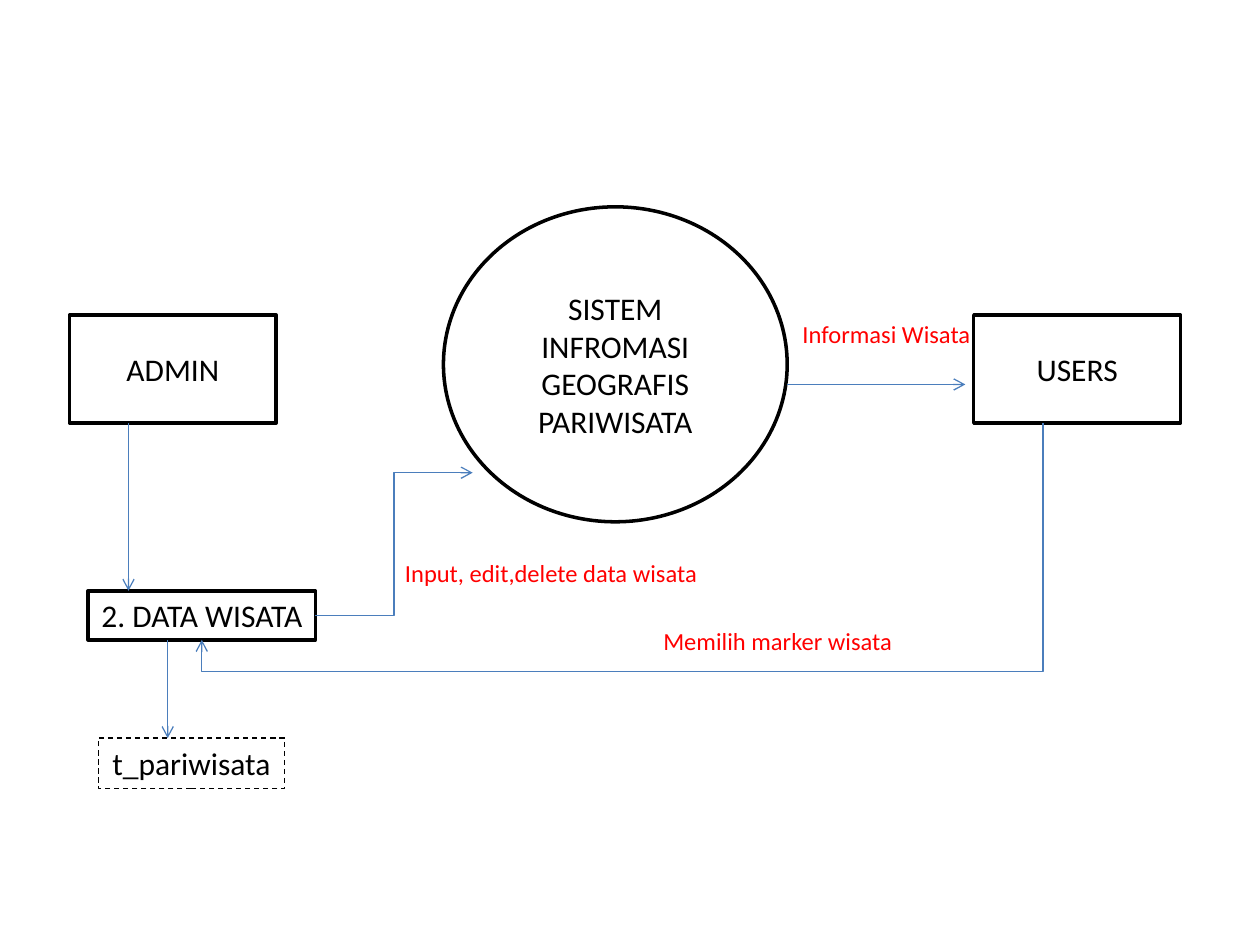
from lxml import etree
from pptx import Presentation
from pptx.dml.color import RGBColor
from pptx.enum.dml import MSO_LINE_DASH_STYLE as Dash
from pptx.enum.shapes import MSO_CONNECTOR as Link, MSO_SHAPE as Shape
from pptx.enum.text import MSO_ANCHOR as Anchor, MSO_AUTO_SIZE as AutoSize, PP_ALIGN as Align
from pptx.oxml.ns import qn
from pptx.util import Cm, Pt

COLORS = {"ink": "000000", "paper": "FFFFFF", "flow": "4B7EBC", "note": "FF0000"}
BOTTOM, RIGHT = 2, 3


def color(name):
    return RGBColor.from_string(COLORS[name])


def apply(target, values):
    for name, value in values.items():
        setattr(target, name, value)


class Diagram:
    font = "Calibri"

    def __init__(self, page):
        self.page = page

    def add_text(self, shape, text, size, ink, frame_format):
        frame = shape.text_frame
        apply(frame, {"word_wrap": True, **frame_format})
        para = frame.paragraphs[0]
        para.alignment = Align.CENTER
        span = para.add_run()
        span.text = text
        apply(span.font, {"name": self.font, "size": Pt(size)})
        span.font.color.rgb = color(ink)

    def box(self, text, area, kind=Shape.RECTANGLE):
        shape = self.page.shapes.add_shape(kind, *map(Cm, area))
        shape.shadow.inherit = False
        shape.fill.solid()
        shape.fill.fore_color.rgb = color("paper")
        shape.line.color.rgb = color("ink")
        shape.line.width = Pt(2)
        self.add_text(shape, text, 18, "ink", {"vertical_anchor": Anchor.MIDDLE})
        return shape

    def label(self, text, area, size=14, ink="note"):
        shape = self.page.shapes.add_textbox(*map(Cm, area))
        self.add_text(shape, text, size, ink, {"auto_size": AutoSize.SHAPE_TO_FIT_TEXT})
        return shape

    def table_name(self, text, area):
        shape = self.label(text, area, 18, "ink")
        shape.line.color.rgb = color("ink")
        apply(shape.line, {"width": Pt(0.75), "dash_style": Dash.DASH})

    def arrow(self, start, end, kind=Link.STRAIGHT):
        link = self.page.shapes.add_connector(kind, *map(Cm, start + end))
        link.line.color.rgb = color("flow")
        link.line.width = Pt(0.75)
        outline = link._element.spPr
        etree.SubElement(outline.find(qn("a:ln")), qn("a:tailEnd"), type="arrow")
        etree.SubElement(outline, qn("a:effectLst"))
        return link

    def bend(self, link, preset, *adjustments):
        geometry = link._element.spPr.find(qn("a:prstGeom"))
        geometry.set("prst", preset)
        guides = geometry.find(qn("a:avLst"))
        for number, share in enumerate(adjustments, 1):
            etree.SubElement(guides, qn("a:gd"), name=f"adj{number}",
                             fmla=f"val {round(share * 100000)}")


def main():
    deck = Presentation()
    apply(deck, {"slide_width": Cm(25.4), "slide_height": Cm(19.05)})
    diagram = Diagram(deck.slides.add_slide(deck.slide_layouts[6]))

    # System, its two actors and the process
    diagram.box("SISTEM INFROMASI GEOGRAFIS PARIWISATA", (8.94, 4.17, 6.93, 6.35), Shape.OVAL)
    for actor, left in (("ADMIN", 1.4), ("USERS", 19.63)):
        diagram.box(actor, (left, 6.35, 4.17, 2.18))
    process = diagram.box("2. DATA WISATA", (1.78, 11.91, 4.58, 0.99))
    diagram.table_name("t_pariwisata", (1.98, 14.88, 3.76, 1.02))

    # Straight flows
    for start, end in (((2.59, 8.53), (2.59, 11.91)),
                       ((15.87, 7.75), (19.46, 7.75)),
                       ((3.38, 12.9), (3.38, 14.88))):
        diagram.arrow(start, end)

    # Bent flows out of and into the process
    to_system = diagram.arrow((6.36, 12.4), (9.53, 9.53), Link.ELBOW)
    to_system.begin_connect(process, RIGHT)
    from_users = diagram.arrow((21.03, 8.53), (4.07, 12.9), Link.ELBOW)
    from_users.end_connect(process, BOTTOM)
    diagram.bend(from_users, "bentConnector4", 0, 1.145)

    # Flow names
    for text, left, top in (("Informasi Wisata", 14.1, 6.3),
                            ("Memilih marker wisata", 11.91, 12.5),
                            ("Input, edit,delete data wisata", 7.34, 11.13)):
        diagram.label(text, (left, top, 7.54, 0.86))

    deck.save("out.pptx")


if __name__ == "__main__":
    main()
